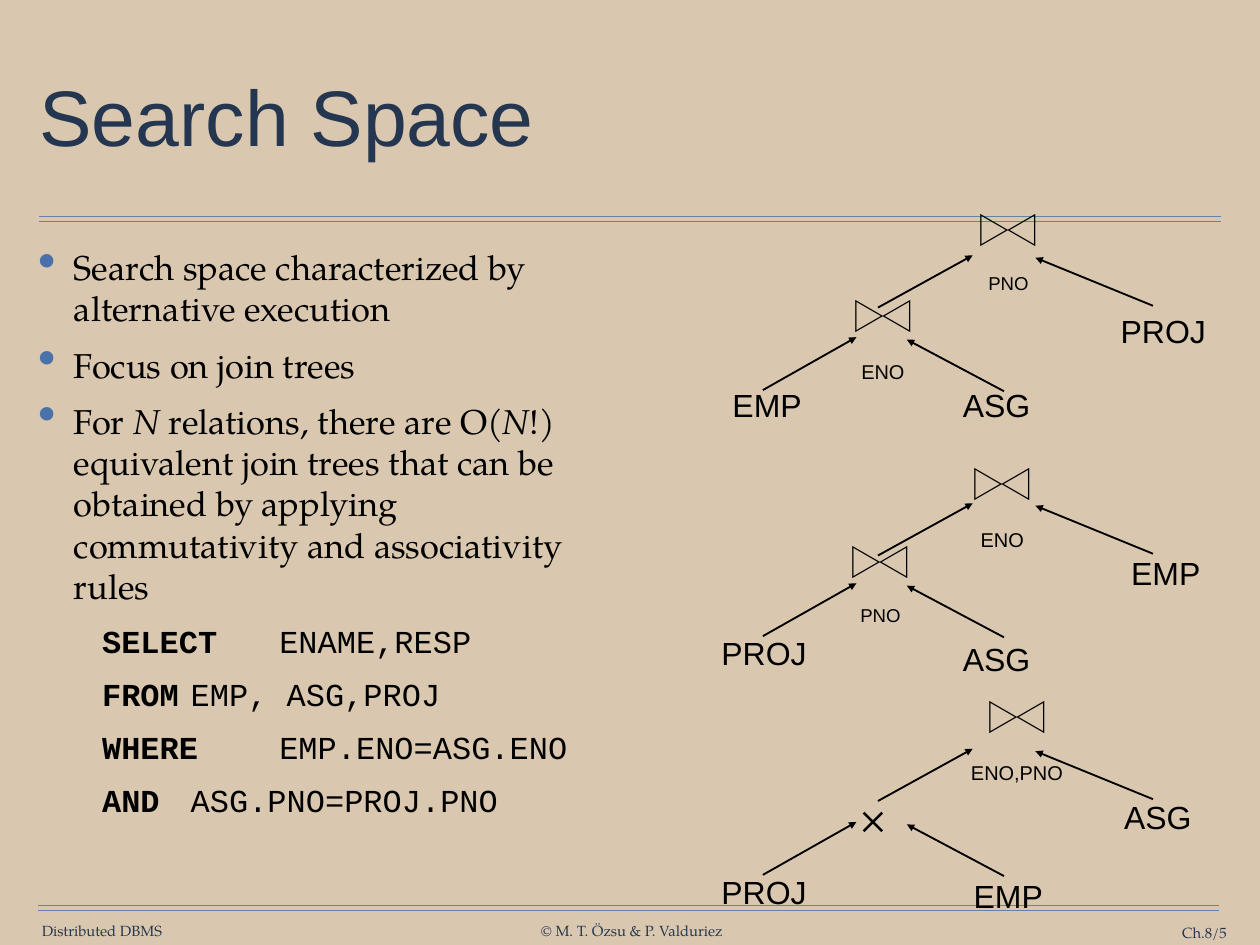
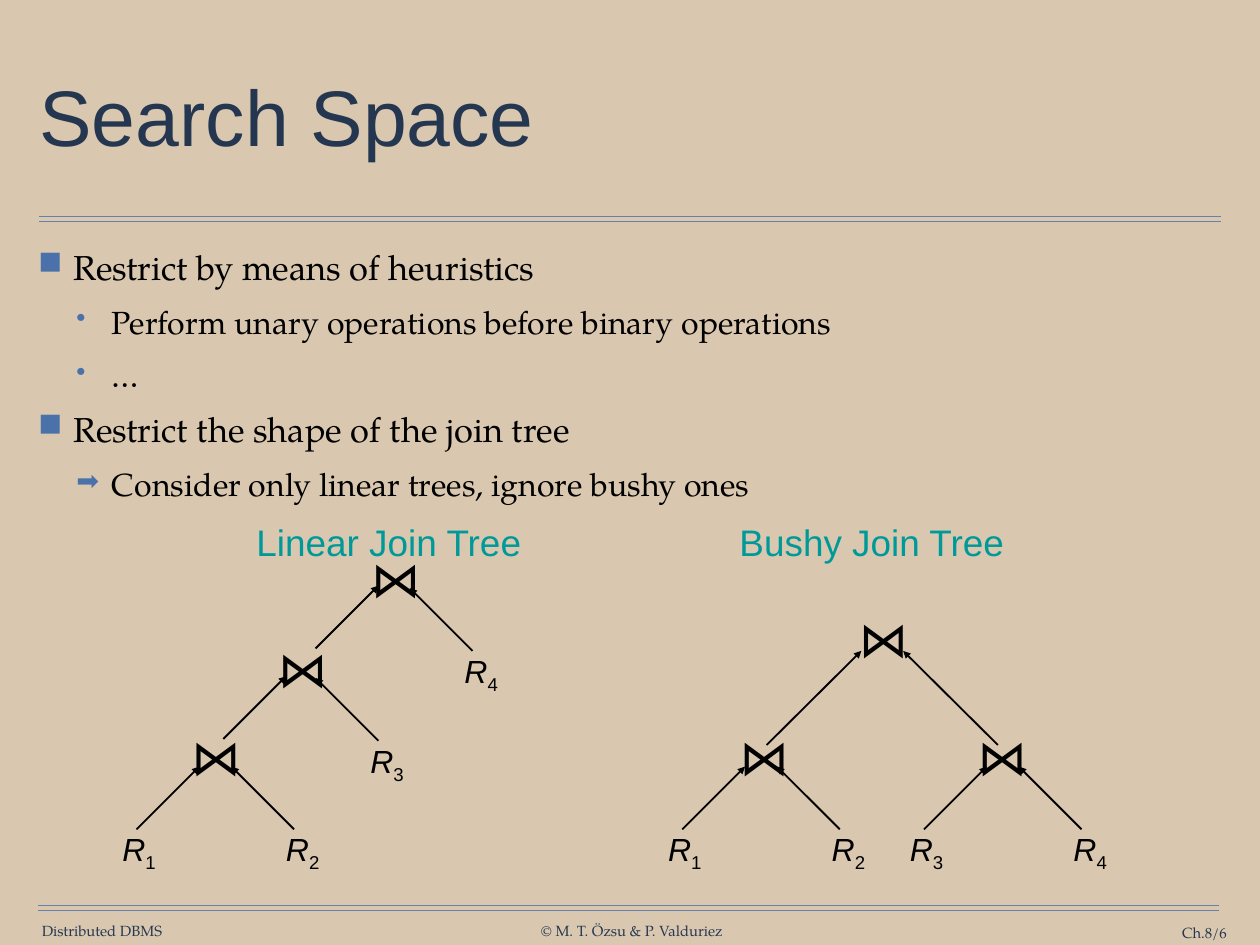
from dataclasses import dataclass
from lxml.etree import SubElement
from pptx import Presentation
from pptx.dml.color import RGBColor
from pptx.enum.shapes import MSO_CONNECTOR
from pptx.enum.text import MSO_ANCHOR, MSO_AUTO_SIZE, PP_ALIGN
from pptx.oxml.ns import qn
from pptx.util import Pt


@dataclass(frozen=True)
class Style:
    face: str
    size: float
    color: str = "000000"


@dataclass(frozen=True)
class Theme:
    background: str = "D9C8AF"
    rule: str = "6682AA"
    bullet: str = "4A71A9"
    ink: str = "000000"
    symbol_face: str = "Noto Sans CJK JP"
    title: Style = Style("Arial", 64, "253750")
    footer: Style = Style("TeX Gyre Pagella", 12, "263750")
    body: Style = Style("TeX Gyre Pagella", 28)
    sub_body: Style = Style("TeX Gyre Pagella", 26)
    code: Style = Style("Courier New", 26)
    node: Style = Style("Arial", 26)
    large_node: Style = Style("Arial", 28)
    heading: Style = Style("Arial", 30, "009999")
    product: Style = Style("TeX Gyre Pagella", 36)
    join: Style = Style("Noto Sans CJK JP", 40)
    split_join_size: float = 28


THEME = Theme()
INSET = 4
HANGING = 29
RISE = 51


def apply_style(paragraph, style):
    paragraph.font.name = style.face
    paragraph.font.size = Pt(style.size)
    paragraph.font.color.rgb = RGBColor.from_string(style.color)


def set_margins(frame, margin):
    frame.margin_left = frame.margin_right = Pt(margin)
    frame.margin_top = frame.margin_bottom = Pt(margin)


def add_frame(slide, left, top, width, height, margin=0):
    box = slide.shapes.add_textbox(Pt(left), Pt(top), Pt(width), Pt(height))
    box.text_frame.word_wrap = True
    set_margins(box.text_frame, margin)
    return box.text_frame


def add_run(paragraph, text, bold=None, italic=None):
    run = paragraph.add_run()
    run.text = text
    run.font.bold = bold
    run.font.italic = italic
    return run


def add_symbol(paragraph, text):
    run = add_run(paragraph, text)
    run.font.name = THEME.symbol_face
    SubElement(run._r.get_or_add_rPr(), qn("a:ea"), typeface=THEME.symbol_face)
    return run


def add_subscript(paragraph, text):
    run = add_run(paragraph, text)
    run._r.get_or_add_rPr().set("baseline", "-25000")


def add_label(slide, x, top, style, text="", width=130, height=None, align=PP_ALIGN.CENTER):
    """Put one paragraph below (x, top); align says which part of it x marks."""
    share = {PP_ALIGN.LEFT: 0, PP_ALIGN.CENTER: 0.5, PP_ALIGN.RIGHT: 1}[align]
    frame = add_frame(slide, x - share * width, top, width, height or style.size * 1.2)
    paragraph = frame.paragraphs[0]
    paragraph.alignment = align
    apply_style(paragraph, style)
    if text:
        add_run(paragraph, text)
    return paragraph


def add_line(slide, start, end, color, weight):
    points = [Pt(value) for value in (*start, *end)]
    line = slide.shapes.add_connector(MSO_CONNECTOR.STRAIGHT, *points)
    line.line.color.rgb = RGBColor.from_string(color)
    line.line.width = Pt(weight)
    SubElement(line._element.spPr, qn("a:effectLst"))
    return line


def add_arrow(slide, start, end):
    arrow = add_line(slide, start, end, THEME.ink, 1.5)
    SubElement(arrow.line._get_or_add_ln(), qn("a:tailEnd"), type="triangle")


def add_base_slide(prs, title, number):
    """Add a slide with title, double rules and footers."""
    slide = prs.slides.add_slide(prs.slide_layouts[5])
    for left, y in ((32, 176), (32, 180), (31, 736), (31, 740)):
        add_line(slide, (left, y), (left + 960, y), THEME.rule, 1)
    add_label(slide, 34, 749.5, THEME.footer, "Distributed DBMS", align=PP_ALIGN.LEFT)
    add_label(slide, 513.5, 749.5, THEME.footer, "© M. T. Özsu & P. Valduriez", width=180)
    add_label(slide, 997, 751, THEME.footer, f"Ch.8/{number}", align=PP_ALIGN.RIGHT)

    heading = slide.shapes.title
    heading.left, heading.top, heading.width, heading.height = Pt(28), Pt(35), Pt(968), Pt(127)
    frame = heading.text_frame
    frame.text = title
    frame.word_wrap = True
    frame.auto_size = MSO_AUTO_SIZE.NONE
    frame.vertical_anchor = MSO_ANCHOR.MIDDLE
    set_margins(frame, INSET)
    paragraph = frame.paragraphs[0]
    paragraph.alignment = PP_ALIGN.LEFT
    paragraph.line_spacing = 0.9
    apply_style(paragraph, THEME.title)
    return slide


def add_body_line(frame, style, margin, runs, bullet=None, scale=100):
    """Add a paragraph of (text, look) runs, where look is "b", "i" or empty."""
    first = frame.paragraphs[0]
    paragraph = frame.add_paragraph() if first.runs else first
    props = paragraph._p.get_or_add_pPr()
    props.set("marL", str(Pt(margin)))
    props.set("indent", str(-Pt(HANGING) if bullet else 0))
    props.set("defTabSz", str(Pt(72)))
    if bullet:
        SubElement(SubElement(props, qn("a:buClr")), qn("a:srgbClr"), val=THEME.bullet)
        SubElement(props, qn("a:buSzPct"), val=str(scale * 1000))
        SubElement(props, qn("a:buChar"), char=bullet)
    paragraph.space_before = Pt(12)
    apply_style(paragraph, style)
    for text, look in runs:
        add_run(paragraph, text, bold=look == "b" or None, italic=look == "i" or None)


def add_split_join(slide, x, top, condition, style):
    """Draw a join made of two triangles, with its condition on the next line."""
    paragraph = add_label(slide, x, top, style, height=80)
    symbol = add_symbol(paragraph, "▷◁")
    symbol.font.size = Pt(THEME.split_join_size)
    symbol._r.get_or_add_rPr().set("spc", "-430")
    paragraph.add_line_break()
    add_subscript(paragraph, condition)


def add_join_tree_arrows(slide, upper, lower):
    """Draw a tree's four arrows from the tops of its upper and lower level."""
    add_arrow(slide, (713.5, upper + 42.5), (790.5, upper))
    add_arrow(slide, (937, upper + 41), (841.5, upper + 2))
    add_arrow(slide, (620, lower + 43), (696, lower))
    add_arrow(slide, (816, lower + 44), (737, lower + 2))


def add_join(slide, x, top):
    add_symbol(add_label(slide, x, top, THEME.join, width=60, height=58), "⋈")


def add_leaf(slide, number, x, y, side):
    """Draw relation R with its arrow up to the parent; side is 1 for a left child, -1 for a right."""
    add_arrow(slide, (x, y), (x + side * RISE, y - RISE))
    paragraph = add_label(slide, x + (2 if side > 0 else 7), y + 0.5, THEME.node, width=55)
    add_run(paragraph, "R", italic=True)
    add_subscript(paragraph, number)


def add_search_space_slide(prs):
    slide = add_base_slide(prs, "Search Space", 5)
    body = add_frame(slide, 27, 196, 462, 533, INSET)
    points = (
        [("Search space characterized by alternative execution", "")],
        [("Focus on join trees", "")],
        [("For ", ""), ("N", "i"), (" relations, there are O(", ""), ("N", "i"),
         ("!) equivalent join trees that can be obtained by applying "
          "commutativity and associativity rules", "")],
    )
    for runs in points:
        add_body_line(body, THEME.body, HANGING, runs, "•", 150)
    query = (("SELECT", "ENAME,RESP"), ("FROM", "EMP, ASG,PROJ"),
             ("WHERE", "EMP.ENO=ASG.ENO"), ("AND", "ASG.PNO=PROJ.PNO"))
    for keyword, operand in query:
        add_body_line(body, THEME.code, 52, [(keyword + "\t", "b"), (operand, "")])

    for upper, lower in ((207.5, 274), (409, 474), (608.5, 668)):
        add_join_tree_arrows(slide, upper, lower)
    relations = (
        ("PROJ", 945.5, 253.5), ("ASG", 810, 313), ("EMP", 623.5, 313),
        ("PROJ", 621, 515), ("ASG", 810, 520), ("EMP", 947.5, 450),
        ("PROJ", 621, 709), ("ASG", 941, 648), ("EMP", 819.5, 712),
    )
    for relation, x, top in relations:
        add_label(slide, x, top, THEME.node, relation)
    joins = (
        ("PNO", 819.5, 170, THEME.node), ("ENO", 717.5, 240, THEME.large_node),
        ("ENO", 814.5, 376.5, THEME.large_node), ("PNO", 715.5, 440, THEME.node),
        ("ENO,PNO", 826.5, 566, THEME.large_node),
    )
    for condition, x, top, style in joins:
        add_split_join(slide, x, top, condition, style)
    add_label(slide, 709.5, 641, THEME.product, "×", width=40)


def add_tree_shape_slide(prs):
    slide = add_base_slide(prs, "Search Space", 6)
    body = add_frame(slide, 27, 196, 968, 533, INSET)
    outline = (
        ("Restrict by means of heuristics", "■"),
        ("Perform unary operations before binary operations", "•"),
        ("…", "•"),
        ("Restrict the shape of the join tree", "■"),
        ("Consider only linear trees, ignore bushy ones", "➡"),
    )
    for text, bullet in outline:
        if bullet == "■":
            add_body_line(body, THEME.body, HANGING, [(text, "")], bullet, 95)
        else:
            add_body_line(body, THEME.sub_body, 60, [(text, "")], bullet, 85)

    for heading, x in (("Linear Join Tree", 316), ("Bushy Join Tree", 708.5)):
        add_label(slide, x, 422, THEME.heading, heading, width=240)
    leaves = (
        ("1", 111, 674, 1), ("2", 239, 674, -1), ("3", 307.5, 602, -1), ("4", 384, 529, -1),
        ("1", 554.5, 674, 1), ("2", 682.5, 674, -1), ("3", 751, 674, 1), ("4", 879, 674, -1),
    )
    for leaf in leaves:
        add_leaf(slide, *leaf)
    branches = (
        ((181.5, 600.5), (232.5, 549.5)), ((256.5, 527), (307.5, 476)),
        ((623, 605.5), (700, 529)), ((811, 605.5), (734, 529)),
    )
    for start, end in branches:
        add_arrow(slide, start, end)
    joins = ((321.5, 445.5), (246, 518.5), (175.5, 590.5),
             (718, 494), (621, 590.5), (814.5, 590.5))
    for x, top in joins:
        add_join(slide, x, top)


def main():
    prs = Presentation()
    prs.slide_width, prs.slide_height = Pt(1024), Pt(768)
    background = prs.slide_master.background.fill
    background.solid()
    background.fore_color.rgb = RGBColor.from_string(THEME.background)
    add_search_space_slide(prs)
    add_tree_shape_slide(prs)
    prs.save("out.pptx")


if __name__ == "__main__":
    main()
